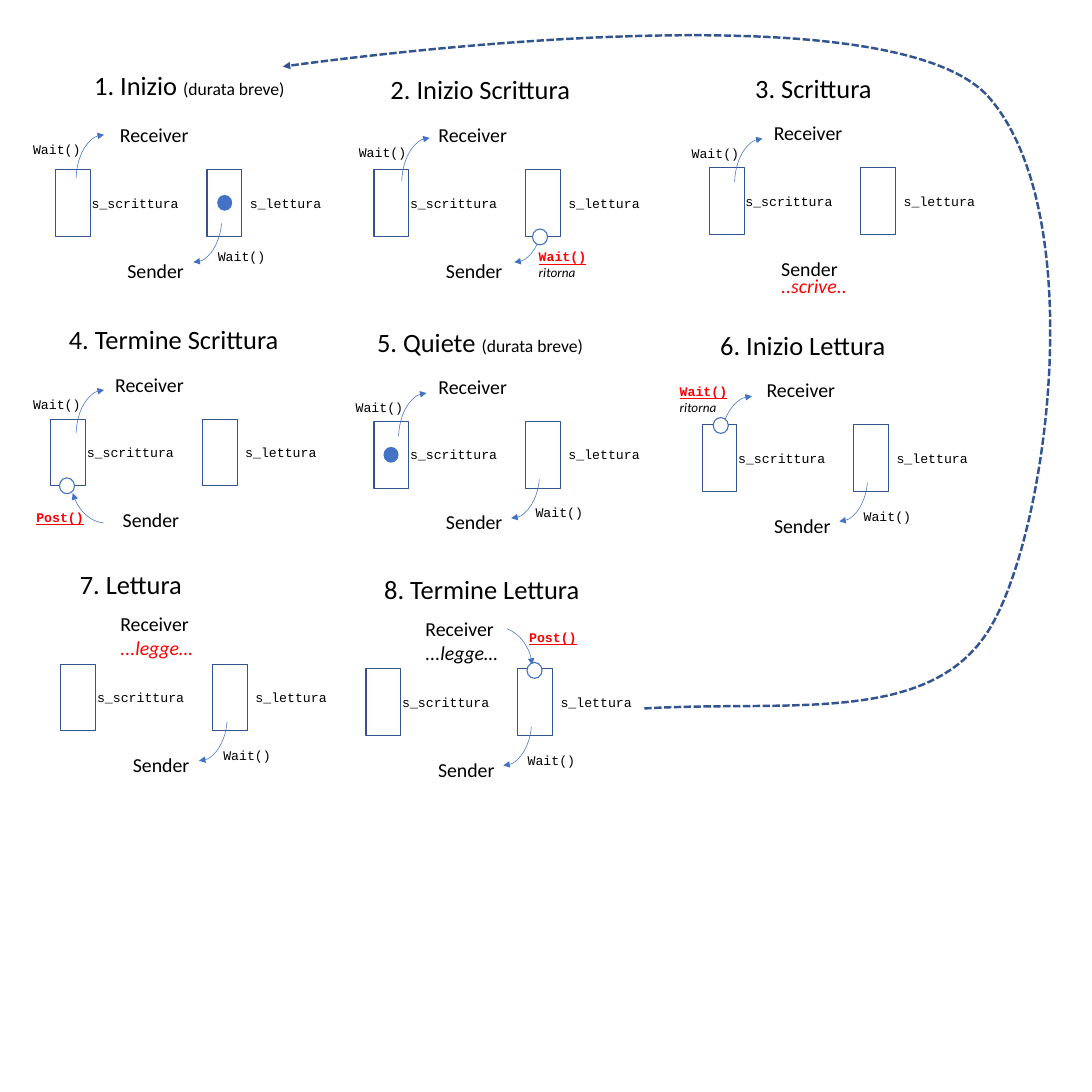
from dataclasses import dataclass

from lxml import etree
from pptx import Presentation
from pptx.dml.color import RGBColor
from pptx.enum.dml import MSO_LINE
from pptx.enum.shapes import MSO_SHAPE
from pptx.oxml.ns import qn
from pptx.util import Pt

RECTANGLE, ELLIPSE, ARC = MSO_SHAPE.RECTANGLE, MSO_SHAPE.OVAL, MSO_SHAPE.ARC
SHORT_DASH = MSO_LINE.SQUARE_DOT
COLORS = {"ink": "000000", "alert": "FF0000", "blue": "4472C4", "navy": "325491", "white": "FFFFFF"}
BODY, CODE = "Calibri", "Courier New"
SLIDE_SIDE = 992.13
CODE_SIZE = (59.8, 21.6)
ARC_SIZE = (51.1, 82.8)
RECEIVER_SWEEP = (110.734, 161.907)
SENDER_SWEEP = (8.218, 54.251)
LOOP_START = (585.4, 643.7)
LOOP_CURVES = [
    ((718.6, 635.8), (848.9, 660.2), (901.4, 567.4)),
    ((953.3, 475.2), (989.3, 193), (898.6, 88.6)),
    ((807.1, -15.8), (257, 60.5), (257, 60.5)),
]
LOOP_BOX = (257, 33.1, 697, 609.8)


@dataclass
class Panel:
    x: float
    y: float
    title: str
    title_box: tuple
    aside: str = ""
    receiver_wait: tuple = ()
    sender_wait: tuple = ()
    receiver_note: str = ""
    receiver_note_color: str = "alert"
    sender_note: str = ""
    event: str = ""
    event_at: tuple = ()
    event_returns: bool = False
    event_arc: tuple = ()
    ring: tuple = ()
    token: tuple = ()


PANELS = [
    Panel(50.4, 154.1, "1. Inizio ", (28.1, -95, 196.6), aside="(durata breve)",
          receiver_wait=(18.7, -31.7), sender_wait=(100.1, 1.4), token=(146.9, 23)),
    Panel(339.8, 154.1, "2. Inizio Scrittura", (7.9, -91.4, 186.5),
          receiver_wait=(25.2, -28.8), event="Wait()", event_at=(142.6, 68.4), event_returns=True,
          event_arc=(102.2, 1.4, *ARC_SIZE, 19.255, 54.251), ring=(144, 54)),
    Panel(644.4, 152.6, "3. Scrittura", (34.6, -90.7, 164.9),
          receiver_wait=(23, -26.6), sender_note="..scrive.."),
    Panel(46.1, 380.9, "4. Termine Scrittura", (9.4, -90.7, 223.2),
          receiver_wait=(23, -26.6), event="Post()", event_at=(-20.2, 78.5),
          event_arc=(18, 11.5, 64.8, 82.8, 56.003, 92.91), ring=(7.9, 53.3)),
    Panel(339.8, 383, "5. Quiete ", (-4.3, -90.7, 217.4), aside="(durata breve)",
          receiver_wait=(22.3, -25.9), sender_wait=(99.4, 5), token=(8.6, 23)),
    Panel(637.9, 385.9, "6. Inizio Lettura", (9.4, -90.7, 190.1),
          sender_wait=(99.4, 5), event="Wait()", event_at=(-27.4, -41), event_returns=True,
          event_arc=(17.3, -25.9, 56.2, 82.8, 125.675, 161.907), ring=(10.1, -6.5)),
    Panel(55.4, 603.4, "7. Lettura", (10.1, -90.7, 190.1),
          sender_wait=(100.1, 5), receiver_note="...legge…"),
    Panel(332.6, 607.7, "8. Termine Lettura", (9.4, -90.7, 206.6),
          sender_wait=(99.4, 5), receiver_note="...legge…", receiver_note_color="ink",
          event="Post()", event_at=(141.1, -39.6),
          event_arc=(85, -38.2, 66.2, 78.5, 170.83, 211.159), ring=(146.2, -5.8)),
]


def color(name):
    return RGBColor.from_string(COLORS[name])


def write(paragraph, text, size=18, font=BODY, ink="ink", bold=False, italic=False, underline=False):
    run = paragraph.add_run()
    run.text = text
    run.font.size = Pt(size)
    run.font.name = font
    run.font.color.rgb = color(ink)
    run.font.bold = bold
    run.font.italic = italic
    run.font.underline = underline


def add_frame(slide, x, y, width, height):
    frame = slide.shapes.add_textbox(Pt(x), Pt(y), Pt(width), Pt(height)).text_frame
    frame.word_wrap = True
    return frame


def add_label(slide, x, y, width, height, text, **style):
    frame = add_frame(slide, x, y, width, height)
    write(frame.paragraphs[0], text, **style)
    return frame


def add_code(slide, x, y, text, width=CODE_SIZE[0], height=CODE_SIZE[1], **style):
    return add_label(slide, x, y, width, height, text, size=12, font=CODE, **style)


def paint(shape, fill=None, line=None, weight=1):
    shape.shadow.inherit = False
    if fill:
        shape.fill.solid()
        shape.fill.fore_color.rgb = color(fill)
    else:
        shape.fill.background()
    if line:
        shape.line.color.rgb = color(line)
        shape.line.width = Pt(weight)
    else:
        shape.line.fill.background()


def add_form(slide, kind, x, y, width, height, **style):
    shape = slide.shapes.add_shape(kind, Pt(x), Pt(y), Pt(width), Pt(height))
    paint(shape, **style)
    return shape


def add_arrowhead(shape):
    etree.SubElement(shape.line._get_or_add_ln(), qn("a:tailEnd"), type="triangle")


def add_arc_arrow(slide, x, y, width, height, start, end):
    arc = add_form(slide, ARC, x, y, width, height, line="blue", weight=0.5)
    arc.adjustments[0] = start
    arc.adjustments[1] = end
    add_arrowhead(arc)


def add_loop_arrow(slide):
    builder = slide.shapes.build_freeform(Pt(LOOP_START[0]), Pt(LOOP_START[1]))
    builder.add_line_segments([(Pt(x), Pt(y)) for curve in LOOP_CURVES for x, y in curve], close=False)
    loop = builder.convert_to_shape()
    outline = next(loop._element.iter(qn("a:path")))
    segments = outline.findall(qn("a:lnTo"))
    for first in range(0, len(segments), 3):
        curve = etree.SubElement(outline, qn("a:cubicBezTo"))
        for segment in segments[first:first + 3]:
            curve.append(segment[0])
            outline.remove(segment)
    left, top, width, height = map(Pt, LOOP_BOX)
    for point in outline.iter(qn("a:pt")):
        point.set("x", str(int(point.get("x")) + loop.left - left))
        point.set("y", str(int(point.get("y")) + loop.top - top))
    outline.set("w", str(width))
    outline.set("h", str(height))
    loop.left, loop.top, loop.width, loop.height = left, top, width, height
    paint(loop, line="navy", weight=2.25)
    loop.line.dash_style = SHORT_DASH
    add_arrowhead(loop)


def add_semaphores(slide, x, y):
    for box_dx, name_dx, name, width in ((0, 25.7, "s_scrittura", 96.5), (137.7, 169.6, "s_lettura", 82.1)):
        add_form(slide, RECTANGLE, x + box_dx, y, 31.7, 60.5, line="navy")
        add_code(slide, x + name_dx, y + 19.4, name, width=width)


def add_actors(slide, panel):
    x, y = panel.x, panel.y
    add_label(slide, x + 58.3, y + 77, 69.8, 64.8, "Sender")
    if panel.sender_note:
        add_label(slide, x + 58.3, y + 92.9, 82.8, 28.8, panel.sender_note, ink="alert", italic=True)
    if panel.receiver_note:
        receiver = add_label(slide, x + 46.8, y - 51.1, 82.8, 51.1, "Receiver")
        write(receiver.add_paragraph(), panel.receiver_note, ink=panel.receiver_note_color, italic=True)
    else:
        add_label(slide, x + 51.5, y - 46.1, 82.8, 64.8, "Receiver")


def add_waits(slide, panel):
    for arc_at, sweep, label_dx, label_dy in (
            (panel.receiver_wait, RECEIVER_SWEEP, -46.1, 2.2),
            (panel.sender_wait, SENDER_SWEEP, 40.3, 67)):
        if arc_at:
            x, y = panel.x + arc_at[0], panel.y + arc_at[1]
            add_arc_arrow(slide, x, y, *ARC_SIZE, *sweep)
            add_code(slide, x + label_dx, y + label_dy, "Wait()")


def add_event(slide, panel):
    dx, dy, *geometry = panel.event_arc
    add_arc_arrow(slide, panel.x + dx, panel.y + dy, *geometry)
    event = add_code(slide, panel.x + panel.event_at[0], panel.y + panel.event_at[1], panel.event,
                     height=36 if panel.event_returns else CODE_SIZE[1],
                     ink="alert", bold=True, underline=True)
    if panel.event_returns:
        write(event.add_paragraph(), "ritorna", size=12, italic=True)


def add_panel(slide, panel):
    x, y = panel.x, panel.y
    add_semaphores(slide, x, y)
    add_actors(slide, panel)
    dx, dy, width = panel.title_box
    title = add_label(slide, x + dx, y + dy, width, 36, panel.title, size=24)
    if panel.aside:
        write(title.paragraphs[0], panel.aside, size=16)
    add_waits(slide, panel)
    if panel.event:
        add_event(slide, panel)
    for spot, style in ((panel.token, {"fill": "blue"}), (panel.ring, {"fill": "white", "line": "blue"})):
        if spot:
            add_form(slide, ELLIPSE, x + spot[0], y + spot[1], 13.7, 14.4, **style)


def main():
    deck = Presentation()
    deck.slide_width = deck.slide_height = Pt(SLIDE_SIDE)
    slide = deck.slides.add_slide(deck.slide_layouts[6])
    for panel in PANELS:
        add_panel(slide, panel)
    add_loop_arrow(slide)
    deck.save("out.pptx")


if __name__ == "__main__":
    main()
